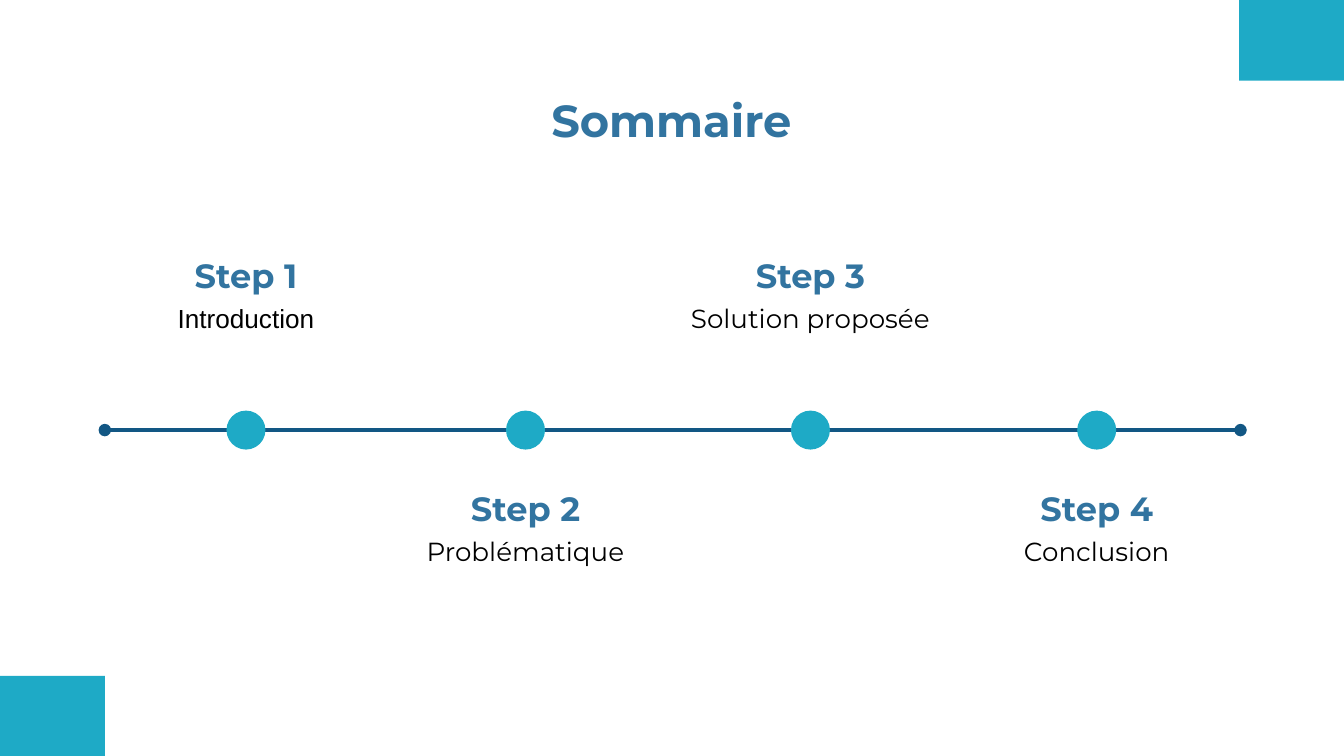
from dataclasses import dataclass

from lxml.etree import SubElement
from pptx import Presentation
from pptx.dml.color import RGBColor
from pptx.enum.shapes import MSO_CONNECTOR, MSO_SHAPE
from pptx.enum.text import MSO_ANCHOR, PP_ALIGN
from pptx.oxml.ns import qn
from pptx.util import Inches, Pt


@dataclass(frozen=True)
class Theme:
    accent: str = "1EAAC6"
    heading: str = "3274A0"
    line: str = "125784"
    body: str = "000000"
    font: str = "Montserrat"
    title_size: int = 24
    step_size: int = 18
    body_size: int = 14


class Canvas:
    def __init__(self, page, theme):
        self.page = page
        self.theme = theme

    def shape(self, preset, left, top, width, height):
        shape = self.page.shapes.add_shape(
            preset, Inches(left), Inches(top), Inches(width), Inches(height))
        shape.shadow.inherit = False
        shape.fill.solid()
        shape.fill.fore_color.rgb = RGBColor.from_string(self.theme.accent)
        shape.line.fill.background()

    def text(self, words, left, top, width, height, size, color,
             bold=False, font=None, anchor=MSO_ANCHOR.TOP, wrap=True):
        box = self.page.shapes.add_textbox(
            Inches(left), Inches(top), Inches(width), Inches(height))
        frame = box.text_frame
        frame.word_wrap = wrap
        frame.vertical_anchor = anchor
        frame.margin_left = frame.margin_right = Inches(0.1)
        frame.margin_top = frame.margin_bottom = Inches(0.1)
        para = frame.paragraphs[0]
        para.text = words
        para.alignment = PP_ALIGN.CENTER
        para.font.name = font or self.theme.font
        para.font.size = Pt(size)
        para.font.bold = bold
        para.font.color.rgb = RGBColor.from_string(color)

    def axis(self, left, right, y):
        axis = self.page.shapes.add_connector(
            MSO_CONNECTOR.STRAIGHT, Inches(left), Inches(y), Inches(right), Inches(y))
        axis.line.width = Pt(2.25)
        axis.line.color.rgb = RGBColor.from_string(self.theme.line)
        # Round ends and no shadow
        outline = axis.line._get_or_add_ln()
        for end in ("a:headEnd", "a:tailEnd"):
            SubElement(outline, qn(end), type="oval")
        SubElement(axis._element.spPr, qn("a:effectLst"))


# Widescreen page, 16:9
deck = Presentation()
deck.slide_width = Inches(10)
deck.slide_height = deck.slide_width * 9 // 16
theme = Theme()
canvas = Canvas(deck.slides.add_slide(deck.slide_layouts[6]), theme)

# Corner blocks
for left, top in ((9.22, 0), (0, 5.03)):
    canvas.shape(MSO_SHAPE.RECTANGLE, left, top, 0.78, 0.6)

# Title and timeline axis
AXIS_Y = 3.2
canvas.axis(0.78, 9.23, AXIS_Y)
canvas.text("Sommaire", 0.79, 0.59, 8.41, 0.52,
            theme.title_size, theme.heading, bold=True)

# Steps alternate above and below the axis
STEP_WIDTH, BODY_WIDTH, DOT = 1.05, 2.11, 0.29
steps = (
    (1.83, "Introduction", "Arial"),
    (3.91, "Problématique", theme.font),
    (6.03, "Solution proposée", theme.font),
    (8.16, "Conclusion", theme.font),
)
for number, (center, topic, font) in enumerate(steps, start=1):
    if number % 2:
        step_top, body_top, anchor = 1.8, 2.15, MSO_ANCHOR.TOP
    else:
        step_top, body_top, anchor = 3.5, 3.88, MSO_ANCHOR.BOTTOM
    canvas.text(f"Step {number}", center - STEP_WIDTH / 2, step_top, STEP_WIDTH, 0.53,
                theme.step_size, theme.heading, bold=True, anchor=anchor, wrap=False)
    canvas.text(topic, center - BODY_WIDTH / 2, body_top, BODY_WIDTH, 0.81,
                theme.body_size, theme.body, font=font)
    canvas.shape(MSO_SHAPE.OVAL, center - DOT / 2, AXIS_Y - DOT / 2, DOT, DOT)

deck.save("out.pptx")
